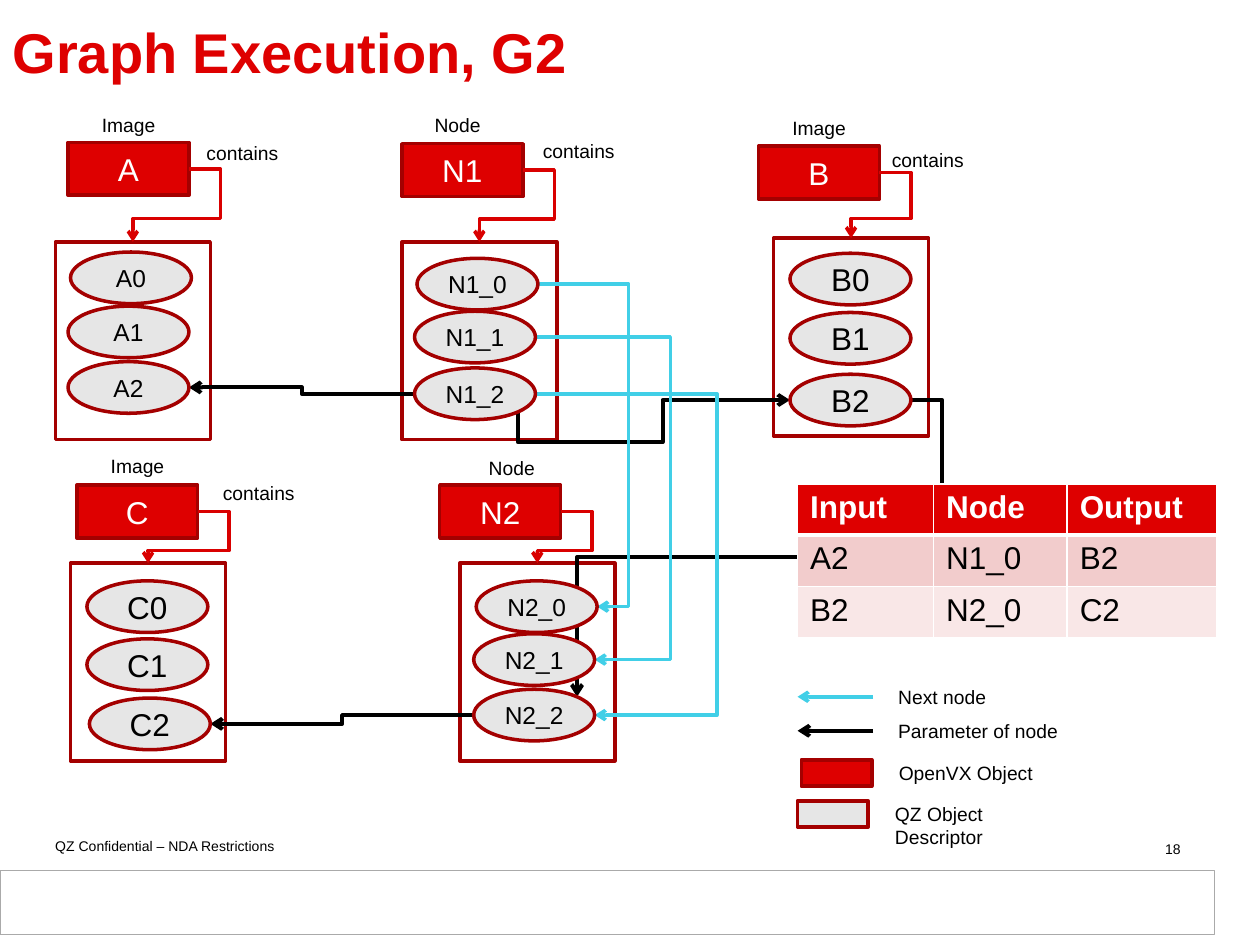
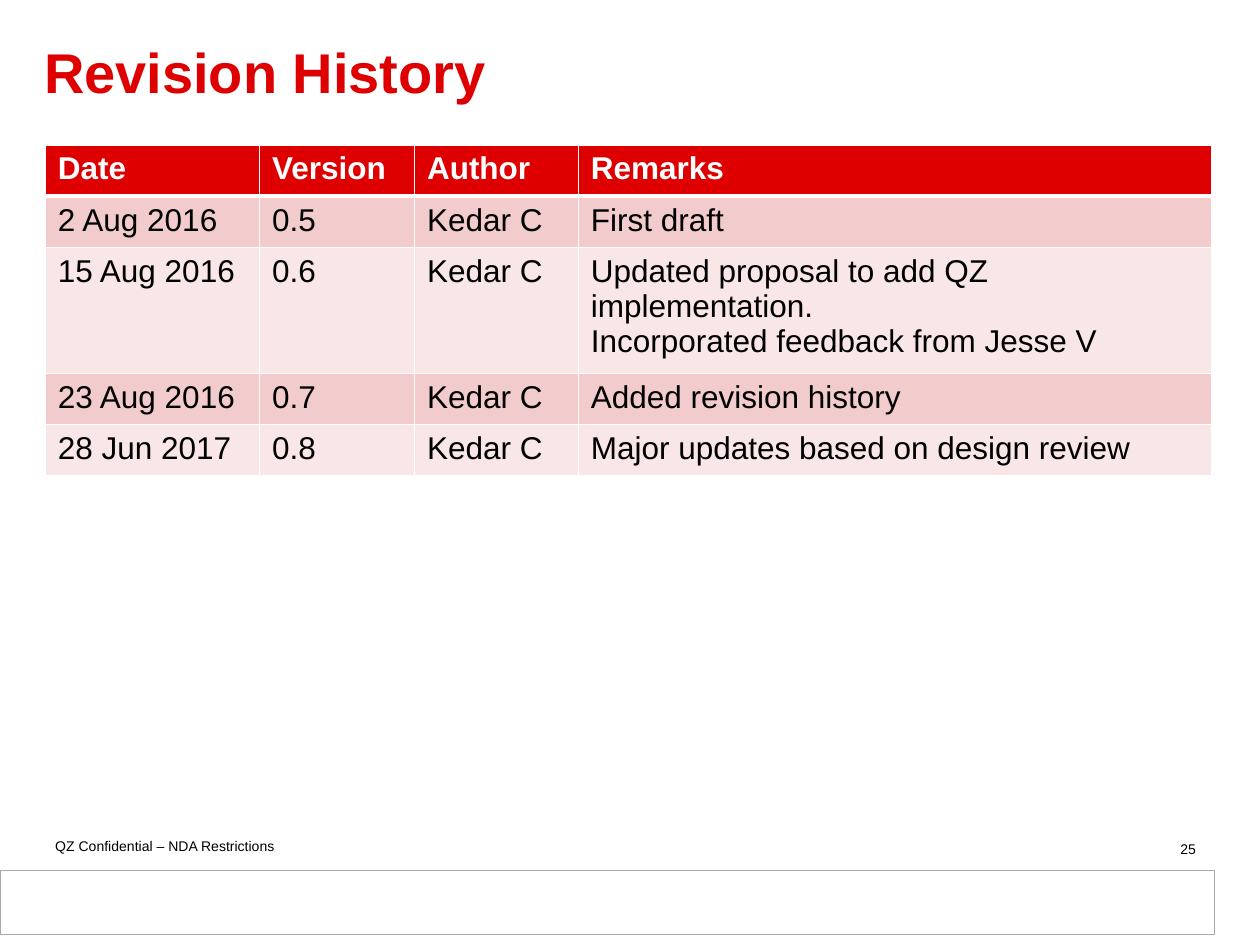
from dataclasses import dataclass

from lxml import etree
from pptx import Presentation
from pptx import util as u
from pptx.dml.color import RGBColor
from pptx.enum import shapes as kinds, text as txt
from pptx.oxml import ns

RED = RGBColor(0xDE, 0x00, 0x00)
WIRE_RED = RGBColor(0xD9, 0x00, 0x00)
DARK_RED = RGBColor(0xA4, 0x00, 0x00)
CYAN = RGBColor(0x41, 0xCF, 0xE7)
GREY = RGBColor(0xE6, 0xE6, 0xE6)
RULE_GREY = RGBColor(0xAA, 0xAA, 0xAA)
PINK = RGBColor(0xF2, 0xCC, 0xCC)
PALE_PINK = RGBColor(0xF9, 0xE7, 0xE7)
BLACK = RGBColor(0x00, 0x00, 0x00)
WHITE = RGBColor(0xFF, 0xFF, 0xFF)

FONT = "Arial"
COLUMNS, ROWS = 100, 75  # square slide grid
CELL = u.Inches(10) // COLUMNS

HEADER = (9.6, 4.2)
FRAME = (12.3, 15.7)
OVAL = (9.6, 4.1)
LABEL_HEIGHT = 2.9
TABLE_ROW = 4.07
RECT, ELLIPSE = kinds.MSO_SHAPE.RECTANGLE, kinds.MSO_SHAPE.OVAL
LEFT, CENTER, RIGHT = txt.PP_ALIGN.LEFT, txt.PP_ALIGN.CENTER, txt.PP_ALIGN.RIGHT


def grid(*cells):
    return [round(n * CELL) for n in cells]


def apply(target, **values):
    for name, value in values.items():
        setattr(target, name, value)


def write(frame, words, size, color, align=LEFT, bold=False):
    """Put one paragraph per line of words into a text frame."""
    frame.text = words
    for paragraph in frame.paragraphs:
        paragraph.alignment = align
        apply(paragraph.font, name=FONT, size=u.Pt(size), bold=bold)
        paragraph.font.color.rgb = color


def add_block(slide, preset, box, fill=None, line=None, width=2,
              words="", size=18, color=BLACK):
    block = slide.shapes.add_shape(preset, *grid(*box))
    block.shadow.inherit = False
    if fill is None:
        block.fill.background()
    else:
        block.fill.solid()
        block.fill.fore_color.rgb = fill
    if line is None:
        block.line.fill.background()
    else:
        block.line.color.rgb = line
        block.line.width = u.Pt(width)
    if words:
        apply(block.text_frame, word_wrap=False, margin_left=0, margin_right=0,
              vertical_anchor=txt.MSO_ANCHOR.MIDDLE)
        write(block.text_frame, words, size, color, CENTER)


def add_label(slide, box, words, size=11, align=LEFT, wrap=False):
    label = slide.shapes.add_textbox(*grid(*box))
    label.text_frame.word_wrap = wrap
    write(label.text_frame, words, size, BLACK, align)


def add_wire(slide, start, end, color, width=2.0, bend_x=None, bend_y=None,
             arrow="tailEnd"):
    """Straight without bends; otherwise turns at bend_x, then at bend_y."""
    straight = bend_x is None
    kind = kinds.MSO_CONNECTOR.STRAIGHT if straight else kinds.MSO_CONNECTOR.ELBOW
    wire = slide.shapes.add_connector(kind, *grid(*start, *end))
    wire.line.color.rgb = color
    wire.line.width = u.Pt(width)
    properties = wire._element.spPr
    etree.SubElement(wire.line._get_or_add_ln(), ns.qn("a:" + arrow), type="arrow")
    etree.SubElement(properties, ns.qn("a:effectLst"))
    if straight:
        return
    turns = [(bend_x - start[0]) / (end[0] - start[0])]
    geometry = properties.find(ns.qn("a:prstGeom"))
    if bend_y is not None:
        turns.append((bend_y - start[1]) / (end[1] - start[1]))
        geometry.set("prst", "bentConnector4")
    guides = geometry.find(ns.qn("a:avLst"))
    for number, turn in enumerate(turns, 1):
        etree.SubElement(guides, ns.qn("a:gd"), name=f"adj{number}",
                         fmla=f"val {round(turn * 100000)}")


def add_banded_table(slide, left, top, widths, rows, heights=None):
    heights = heights or [TABLE_ROW] * len(rows)
    table = slide.shapes.add_table(len(rows), len(widths), *grid(
        left, top, sum(widths), sum(heights))).table
    for column, width in zip(table.columns, grid(*widths)):
        column.width = width
    for r, (row, height) in enumerate(zip(rows, grid(*heights))):
        table.rows[r].height = height
        head = r == 0
        for c, words in enumerate(row):
            cell = table.cell(r, c)
            write(cell.text_frame, words, 18, WHITE if head else BLACK, bold=head)
            cell.fill.solid()
            cell.fill.fore_color.rgb = RED if head else (PALE_PINK, PINK)[r % 2]
            add_borders(cell, {"L": 1, "R": 1, "T": 3 if r == 1 else 1,
                               "B": 3 if head else 1})


def add_borders(cell, widths):
    properties = cell._tc.get_or_add_tcPr()
    for place, (side, width) in enumerate(widths.items()):
        border = etree.Element(ns.qn("a:ln" + side), w=str(u.Pt(width)))
        fill = etree.SubElement(border, ns.qn("a:solidFill"))
        etree.SubElement(fill, ns.qn("a:srgbClr"), val=str(WHITE))
        properties.insert(place, border)


def add_page(deck, heading, heading_at, number, number_left):
    """Title-only slide with the shared title style, band and footer."""
    slide = deck.slides.add_slide(deck.slide_layouts[5])
    title = slide.shapes.title
    apply(title, **dict(zip(("left", "top", "width", "height"),
                            grid(*heading_at, 92.5, 8.9))))
    apply(title.text_frame, word_wrap=True, auto_size=txt.MSO_AUTO_SIZE.NONE,
          vertical_anchor=txt.MSO_ANCHOR.MIDDLE)
    write(title.text_frame, heading, 32, RED, bold=True)
    title.text_frame.paragraphs[0].line_spacing = 0.85
    # Bottom band, confidentiality note and page number
    add_block(slide, RECT, (0, 69.1, 96.4, 5.1), WHITE, RULE_GREY, 0.75)
    add_label(slide, (3.4, 66, 27.7, 2.4), "QZ Confidential – NDA Restrictions",
              8, wrap=True)
    add_label(slide, (number_left, 66.2, 23.3, 2.3), number, 8, RIGHT, True)
    return slide


@dataclass
class GraphObject:
    """An object whose parts are offset from its descriptor frame."""
    name: str
    kind: str
    left: float
    top: float
    header: tuple      # offset from the frame
    label: tuple       # offset from the header
    contains: tuple    # offset from the header, empty if not labelled
    ovals: list        # offsets from the frame
    size: int          # descriptor text size

    def header_at(self):
        return self.left + self.header[0], self.top + self.header[1]

    def oval_at(self, i):
        return self.left + self.ovals[i][0], self.top + self.ovals[i][1]

    def side(self, i, share):
        """Point at mid height of a descriptor, at a share of its width."""
        x, y = self.oval_at(i)
        return x + share * OVAL[0], y + OVAL[1] / 2

    def draw_frame(self, slide):
        x, y = self.header_at()
        add_block(slide, RECT, (self.left, self.top, *FRAME), None, DARK_RED)
        add_block(slide, RECT, (x, y, *HEADER), RED, DARK_RED,
                  words=self.name, color=WHITE)
        right, bottom = x + HEADER[0], y + HEADER[1]
        add_wire(slide, (right, y + HEADER[1] / 2),
                 (self.left + FRAME[0] / 2, self.top), WIRE_RED,
                 bend_x=right + 2.5, bend_y=(bottom + self.top) / 2)
        for words, offset in ((self.kind, self.label), ("contains", self.contains)):
            if offset:
                add_label(slide, (x + offset[0], y + offset[1], 7.8, LABEL_HEIGHT),
                          words)

    def draw_ovals(self, slide):
        joint = "_" if self.kind == "Node" else ""
        for i in range(len(self.ovals)):
            add_block(slide, ELLIPSE, (*self.oval_at(i), *OVAL), GREY, DARK_RED,
                      words=f"{self.name}{joint}{i}", size=self.size)


def draw_wires(slide, a, n1, b, n2, c):
    # Parameters of the nodes
    add_wire(slide, b.side(2, 1), (45.8, 55.3), BLACK, 2.25, 74.8, 44.2)
    for node, image in ((n1, a), (n2, c)):
        start, end = node.side(2, 0), image.side(2, 1)
        add_wire(slide, start, end, BLACK, 2.25, (start[0] + end[0]) / 2)
    add_wire(slide, b.side(2, 0), (41.1, 32.6), BLACK, 2.25, 52.6, 35.1, "headEnd")
    # Next nodes
    for i, bend_x in enumerate((49.9, 53.2, 56.9)):
        add_wire(slide, n1.side(i, 1), n2.side(i, 1), CYAN, bend_x=bend_x)


def draw_legend(slide, left, top):
    arrows = ((CYAN, 2, 1.4, "Next node"), (BLACK, 2.25, 4.1, "Parameter of node"))
    for color, width, y, words in arrows:
        add_wire(slide, (left + 6, top + y), (left, top + y), color, width)
        add_label(slide, (left + 7, top + y - 1.4, 14.8, LABEL_HEIGHT), words)
    swatches = ((RED, 0.3, 6.4, "OpenVX Object"), (GREY, 0, 9.65, "QZ Object Descriptor"))
    for fill, x, y, words in swatches:
        add_block(slide, RECT, (left + x, top + y, 5.6, 2.1), fill, DARK_RED)
        add_label(slide, (left + x + 6.75, top + y - 0.35, 15.7, LABEL_HEIGHT), words)


def build_graph(deck):
    slide = add_page(deck, "Graph Execution, G2", (0, 0), "18", 71.4)
    graph = [
        GraphObject("A", "Image", 4.4, 19.2, (1, -7.9), (1.7, -2.8), (10, -0.6),
                    [(1.2, 0.8), (1, 5.1), (1, 9.5)], 14),
        GraphObject("N1", "Node", 31.9, 19.2, (0, -7.8), (1.6, -2.9), (10.2, -0.8),
                    [(1.2, 1.3), (1, 5.5), (1, 10)], 14),
        GraphObject("B", "Image", 61.4, 18.9, (-1.2, -7.3), (1.7, -2.9), (9.6, -0.3),
                    [(1.3, 1.2), (1.3, 5.9), (1.3, 10.8)], 18),
        GraphObject("N2", "Node", 36.5, 44.7, (-1.6, -6.2), (2.9, -2.8), (),
                    [(1.3, 1.4), (1.1, 5.6), (1.1, 10)], 14),
        GraphObject("C", "Image", 5.6, 44.7, (0.5, -6.2), (1.7, -2.9), (10.6, -0.8),
                    [(1.3, 1.4), (1.3, 6), (1.5, 10.7)], 18),
    ]
    for part in graph:
        part.draw_frame(slide)
    draw_wires(slide, *graph)
    for part in graph:
        part.draw_ovals(slide)
    add_banded_table(slide, 63.3, 38.4, (10.8, 10.6, 11.9), [
        ("Input", "Node", "Output"),
        ("A2", "N1_0", "B2"),
        ("B2", "N2_0", "C2"),
    ])
    draw_legend(slide, 63.3, 53.9)


def build_history(deck):
    slide = add_page(deck, "Revision History", (2.5, 1.6), "25", 72.6)
    author = "Kedar C"
    rows = [
        ("Date", "Version", "Author", "Remarks"),
        ("2 Aug 2016", "0.5", author, "First draft"),
        ("15 Aug 2016", "0.6", author, "Updated proposal to add QZ implementation.\n"
                                       "Incorporated feedback from Jesse V"),
        ("23 Aug 2016", "0.7", author, "Added revision history"),
        ("28 Jun 2017", "0.8", author, "Major updates based on design review"),
    ]
    heights = [TABLE_ROW, TABLE_ROW, 9.4, TABLE_ROW, TABLE_ROW]
    add_banded_table(slide, 3.6, 11.5, (17, 12.3, 13, 50.3), rows, heights)


def main():
    deck = Presentation()
    apply(deck, slide_width=COLUMNS * CELL, slide_height=ROWS * CELL)
    build_graph(deck)
    build_history(deck)
    deck.save("out.pptx")


if __name__ == "__main__":
    main()
